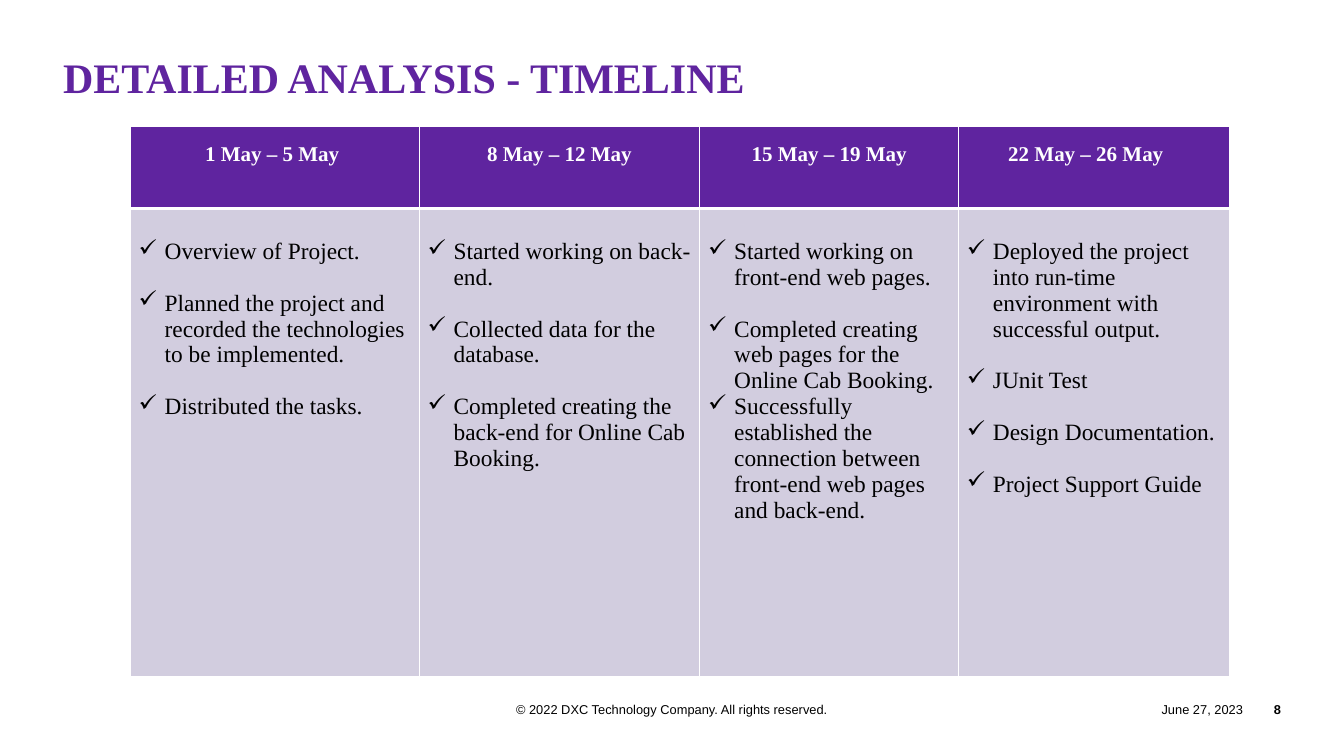
from dataclasses import dataclass

from lxml.etree import SubElement
from pptx import Presentation
from pptx.dml.color import RGBColor
from pptx.enum.text import MSO_ANCHOR as Anchor, PP_ALIGN as Align
from pptx.oxml.ns import qn
from pptx.slide import Slide
from pptx.table import _Cell as Cell
from pptx.text.text import _Paragraph as Paragraph
from pptx.util import Emu, Inches, Pt

PAGE_WIDTH, PAGE_HEIGHT = Inches(16), Inches(9)
PURPLE, LAVENDER, WHITE, BLACK = "5F249F", "D2CDDF", "FFFFFF", "000000"
SERIF, SANS = "Times New Roman", "Arial"
HEADER_ROW, TASK_ROW = 10.78, 61.89
BULLET_INDENT = Inches(0.31)
TASK_GAP = 22.1


@dataclass
class Task:
    text: str
    gap: float = TASK_GAP


@dataclass
class Period:
    dates: str
    width: float
    tasks: list[Task]
    right_margin: float = 0.1


@dataclass
class Label:
    text: str
    left: float
    width: float
    align: Align
    bold: bool = False


PERIODS = [
    Period("1 May – 5 May", 21.5, [
        Task("Overview of Project."),
        Task("Planned the project and recorded the technologies to be implemented."),
        Task("Distributed the tasks."),
    ], right_margin=0.16),
    Period("8 May – 12 May", 20.88, [
        Task("Started working on back-end."),
        Task("Collected data for the database."),
        Task("Completed creating the back-end for Online Cab Booking."),
    ]),
    Period("15 May – 19 May", 19.25, [
        Task("Started working on front-end web pages."),
        Task("Completed creating web pages for the Online Cab Booking."),
        Task("Successfully established the connection between front-end web pages "
             "and back-end.", gap=0),
    ]),
    Period("22 May – 26 May", 20.13, [
        Task("Deployed the project into run-time environment with successful output."),
        Task("JUnit Test"),
        Task("Design Documentation."),
        Task("Project Support Guide"),
    ], right_margin=0.29),
]

FOOTER = [
    Label("© 2022 DXC Technology Company. All rights reserved.", 32.81, 34.38, Align.CENTER),
    Label("June 27, 2023", 81.31, 11.19, Align.RIGHT),
    Label("8", 92.5, 2.81, Align.RIGHT, bold=True),
]


def across(percent: float) -> Emu:
    """Share of the slide's width."""
    return Emu(round(PAGE_WIDTH * percent / 100))


def down(percent: float) -> Emu:
    """Share of the slide's height."""
    return Emu(round(PAGE_HEIGHT * percent / 100))


def color(value: str) -> RGBColor:
    return RGBColor.from_string(value)


def write(para: Paragraph, text: str, *, size: float, ink: str = BLACK, font: str = SERIF,
          bold: bool = False, align: Align = Align.LEFT, spacing: float = 1.0) -> None:
    para.alignment = align
    para.line_spacing = spacing
    span = para.add_run()
    span.text = text
    span.font.name = font
    span.font.size = Pt(size)
    span.font.bold = bold
    span.font.color.rgb = color(ink)


def add_text(page: Slide, text: str, left: float, top: float, width: float, height: float,
             anchor: Anchor = Anchor.TOP, **style) -> None:
    box = page.shapes.add_textbox(across(left), down(top), across(width), down(height))
    frame = box.text_frame
    frame.word_wrap = True
    frame.vertical_anchor = anchor
    frame.margin_left = frame.margin_top = frame.margin_right = frame.margin_bottom = 0
    write(frame.paragraphs[0], text, **style)


def paint(cell: Cell, fill: str, top: float, bottom: float) -> None:
    """Set white borders, with the given top and bottom widths, and then the fill."""
    properties = cell._tc.get_or_add_tcPr()
    for side, width in (("L", 1), ("R", 1), ("T", top), ("B", bottom)):
        line = SubElement(properties, qn(f"a:ln{side}"), w=str(Pt(width)))
        SubElement(SubElement(line, qn("a:solidFill")), qn("a:srgbClr"), val=WHITE)
    cell.fill.solid()
    cell.fill.fore_color.rgb = color(fill)


def add_bullet(para: Paragraph) -> None:
    properties = para._p.get_or_add_pPr()
    properties.set("marL", str(BULLET_INDENT))
    properties.set("indent", str(-BULLET_INDENT))
    SubElement(properties, qn("a:buChar"), char="✓")


def fill_header(cell: Cell, period: Period) -> None:
    paint(cell, PURPLE, top=1, bottom=3)
    cell.margin_right = Inches(period.right_margin)
    write(cell.text_frame.paragraphs[0], period.dates, size=18, ink=WHITE, bold=True,
          align=Align.CENTER, spacing=1.5)


def fill_tasks(cell: Cell, tasks: list[Task]) -> None:
    paint(cell, LAVENDER, top=3, bottom=1)
    cell.margin_top = Inches(0.36)
    frame = cell.text_frame
    for index, task in enumerate(tasks):
        para = frame.add_paragraph() if index else frame.paragraphs[0]
        add_bullet(para)
        if index:
            para.space_before = Pt(task.gap)
        write(para, task.text, size=20)


def add_timeline(page: Slide) -> None:
    width = sum(period.width for period in PERIODS)
    table = page.shapes.add_table(2, len(PERIODS), across(9.69), down(16.78),
                                  across(width), down(HEADER_ROW + TASK_ROW)).table
    table.horz_banding = False
    for row, height in zip(table.rows, (HEADER_ROW, TASK_ROW)):
        row.height = down(height)
    for index, period in enumerate(PERIODS):
        table.columns[index].width = across(period.width)
        fill_header(table.cell(0, index), period)
        fill_tasks(table.cell(1, index), period.tasks)


def main() -> None:
    deck = Presentation()
    deck.slide_width, deck.slide_height = PAGE_WIDTH, PAGE_HEIGHT
    page = deck.slides.add_slide(deck.slide_layouts[6])
    for label in FOOTER:
        add_text(page, label.text, label.left, 92.11, label.width, 3.33, Anchor.MIDDLE,
                 size=11, font=SANS, bold=label.bold, align=label.align)
    add_text(page, "DETAILED ANALYSIS - TIMELINE", 4.69, 7.78, 90.62, 17.11,
             size=36, ink=PURPLE, bold=True, spacing=0.85)
    add_timeline(page)
    deck.save("out.pptx")


if __name__ == "__main__":
    main()
